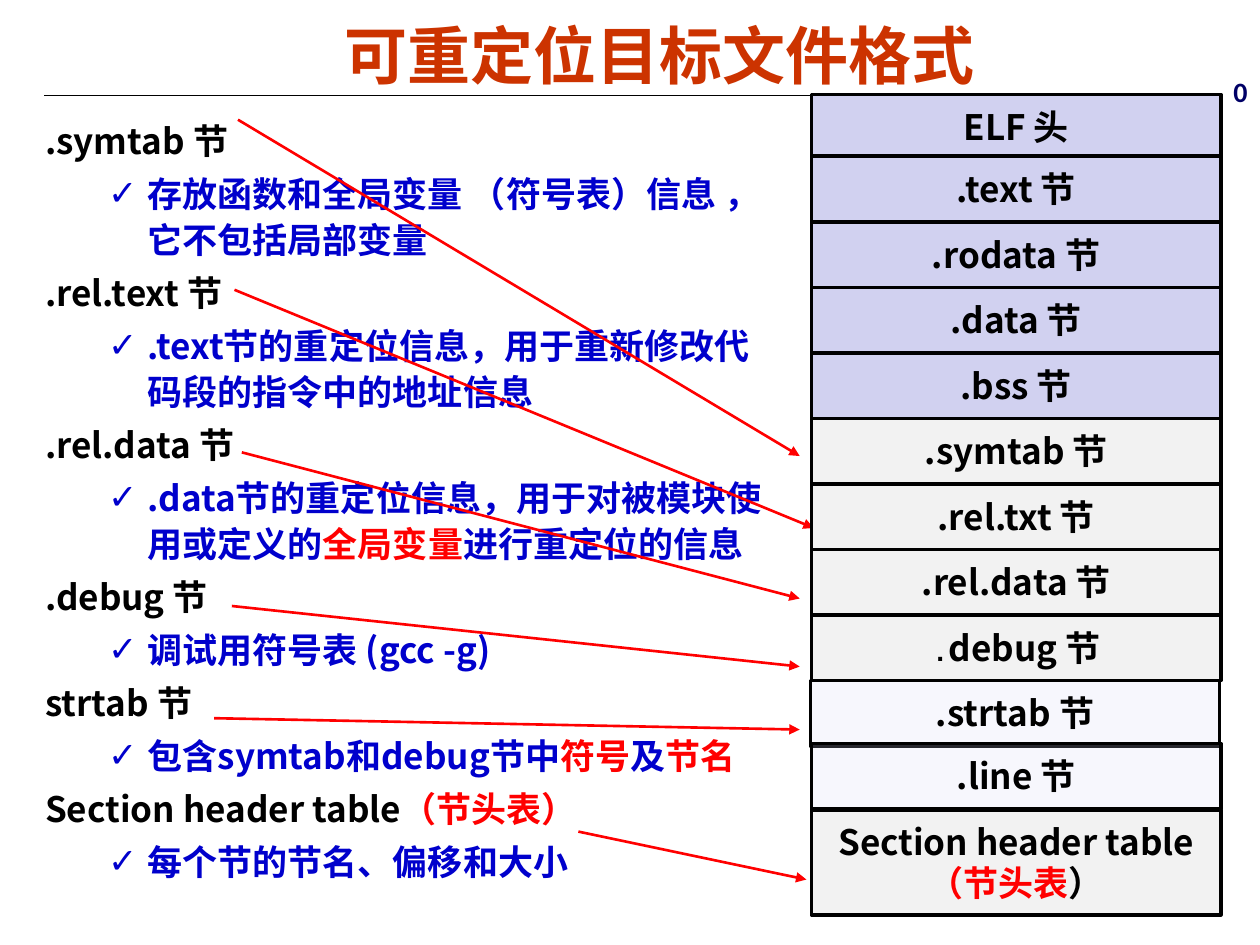
from lxml import etree
from pptx import Presentation
from pptx.dml.color import RGBColor
from pptx.enum import shapes, text
from pptx.oxml import ns
from pptx.util import Pt

COLORS = {"title": "CC3300", "black": "000000", "blue": "0000CC", "red": "FF0000",
          "navy": "000066", "lilac": "D1D1F0", "grey": "F2F2F2", "pale": "D6D6F5"}
CJK = "Noto Sans CJK SC"

# Section name, then the runs that explain it
SECTIONS = [
    ([(".symtab 节", "black")],
     [("存放函数和全局变量 （符号表）信息 ，它不包括局部变量", "blue")]),
    ([(".rel.text 节", "black")],
     [(".text节的重定位信息，用于重新修改代码段的指令中的地址信息", "blue")]),
    ([(".rel.data 节", "black")],
     [(".data节的重定位信息，用于对被模块使用或定义的", "blue"), ("全局变量", "red"),
      ("进行重定位的信息", "blue")]),
    ([(".debug 节", "black")], [("调试用符号表 (gcc -g)", "blue")]),
    ([("strtab 节", "black")],
     [("包含symtab和debug节中", "blue"), ("符号", "red"), ("及", "blue"), ("节名", "red")]),
    ([("Section header table", "black"), ("（节头表）", "red")],
     [("每个节的节名、偏移和大小", "blue")]),
]
ARROWS = [(136, 68.4, 457, 260.6), (134, 165.6, 465, 301.7), (138.2, 258.5, 457, 342),
          (132.5, 346.3, 457, 380.9), (122.4, 410.4, 457, 416.9), (330.5, 475.2, 460.8, 502.6)]
LILAC_ROWS = [".text 节", ".rodata 节", ".data 节", ".bss 节"]
GREY_ROWS = [".symtab 节", ".rel.txt 节", ".rel.data 节", ".debug 节"]


def rgb(name):
    return RGBColor.from_string(COLORS[name])


def add_run(p, words, color, size=20, font=CJK):
    r = p.add_run()
    r.text = words
    r.font.size, r.font.bold, r.font.name = Pt(size), True, font
    r.font.color.rgb = rgb(color)
    ea = etree.SubElement(r.font._element, ns.qn("a:ea"))
    ea.set("typeface", CJK)


def add_line(s, x1, y1, x2, y2, color, width, arrow=False):
    c = s.shapes.add_connector(shapes.MSO_CONNECTOR.STRAIGHT, Pt(x1), Pt(y1), Pt(x2), Pt(y2))
    c.line.color.rgb, c.line.width = rgb(color), Pt(width)
    if arrow:
        etree.SubElement(c.line._get_or_add_ln(), ns.qn("a:tailEnd")).set("type", "triangle")
    etree.SubElement(c._element.spPr, ns.qn("a:effectLst"))


def add_title(s, x, y, w, h):
    sp = s.shapes.title
    sp.left, sp.top, sp.width, sp.height = Pt(x), Pt(y), Pt(w), Pt(h)
    tf = sp.text_frame
    tf.auto_size, tf.vertical_anchor = text.MSO_AUTO_SIZE.NONE, text.MSO_ANCHOR.MIDDLE
    p = tf.paragraphs[0]
    p.alignment = text.PP_ALIGN.CENTER
    add_run(p, "可重定位目标文件格式", "title", 36, "Arial")


def set_indent(p, left, hanging, bullet=None):
    pPr = p._p.get_or_add_pPr()
    pPr.set("marL", str(Pt(left)))
    pPr.set("indent", str(Pt(-hanging)))
    if bullet:
        etree.SubElement(pPr, ns.qn("a:buFont")).set("typeface", "Arial")
        etree.SubElement(pPr, ns.qn("a:buChar")).set("char", bullet)


def add_descriptions(s, x, y, w, h):
    tf = s.shapes.add_textbox(Pt(x), Pt(y), Pt(w), Pt(h)).text_frame
    tf.word_wrap, tf.margin_top = True, Pt(4.6)
    lines = [line for section in SECTIONS for line in section]
    for i, runs in enumerate(lines):
        p = tf.paragraphs[0] if i == 0 else tf.add_paragraph()
        p.line_spacing = Pt(26.3)
        if i:
            p.space_before = Pt(4)
        if i % 2:
            set_indent(p, 58.5, 22.5, "✓")
        else:
            set_indent(p, 27, 27)
        for words, color in runs:
            add_run(p, words, color)


def add_cell(s, x, y, w, h, fill, paragraphs, alpha=None):
    sp = s.shapes.add_shape(shapes.MSO_SHAPE.RECTANGLE, Pt(x), Pt(y), Pt(w), Pt(h))
    sp.shadow.inherit = False
    sp.fill.solid()
    sp.fill.fore_color.rgb = rgb(fill)
    if alpha:
        clr = sp._element.spPr.find(ns.qn("a:solidFill"))[0]
        etree.SubElement(clr, ns.qn("a:alpha")).set("val", str(alpha * 1000))
    sp.line.color.rgb, sp.line.width = rgb("black"), Pt(2)
    tf = sp.text_frame
    tf.word_wrap, tf.vertical_anchor = False, text.MSO_ANCHOR.MIDDLE
    for i, runs in enumerate(paragraphs):
        p = tf.paragraphs[0] if i == 0 else tf.add_paragraph()
        p.alignment, p.line_spacing = text.PP_ALIGN.CENTER, Pt(23.4)
        for run in runs:
            add_run(p, *run)


def add_file_layout(s, x, y, w):
    row = 37.44
    add_cell(s, x, y, w, row, "lilac", [[("ELF 头", "black")]])
    top = y + 35.3
    for i, name in enumerate(LILAC_ROWS + GREY_ROWS):
        runs = [(name, "black")]
        if name == ".debug 节":
            runs = [(".", "black", 16, "Courier New"), ("debug 节", "black")]
        fill = "lilac" if name in LILAC_ROWS else "grey"
        add_cell(s, x, top + i * row, w, row, fill, [runs])
    # Section header table, with the two translucent rows above it
    add_cell(s, x, y + 409, w, 59.76, "grey",
             [[("Section header table", "black")], [("（节头表", "red"), ("）", "black")]])
    add_cell(s, x - 0.7, y + 334.8, w, row, "pale", [[(".strtab 节", "black")]], 19)
    add_cell(s, x, y + 370.8, w, row, "pale", [[(".line 节", "black")]], 19)
    # Start offset
    tf = s.shapes.add_textbox(Pt(x + w), Pt(y - 15.1), Pt(22.3), Pt(25.9)).text_frame
    tf.word_wrap = False
    add_run(tf.paragraphs[0], "0", "navy", 16, "Calibri")


def main():
    prs = Presentation()
    prs.slide_width, prs.slide_height = Pt(720), Pt(540)
    s = prs.slides.add_slide(prs.slide_layouts[5])
    add_line(s, 25.2, 54.7, 694.8, 54.7, "black", 0.75)
    add_title(s, 33.8, 0, 686.2, 61.9)
    add_descriptions(s, 18.7, 61.2, 435.6, 455.8)
    for ends in ARROWS:
        add_line(s, *ends, "red", 1.5, arrow=True)
    add_file_layout(s, 463.7, 54, 234)
    prs.save("out.pptx")


if __name__ == "__main__":
    main()
